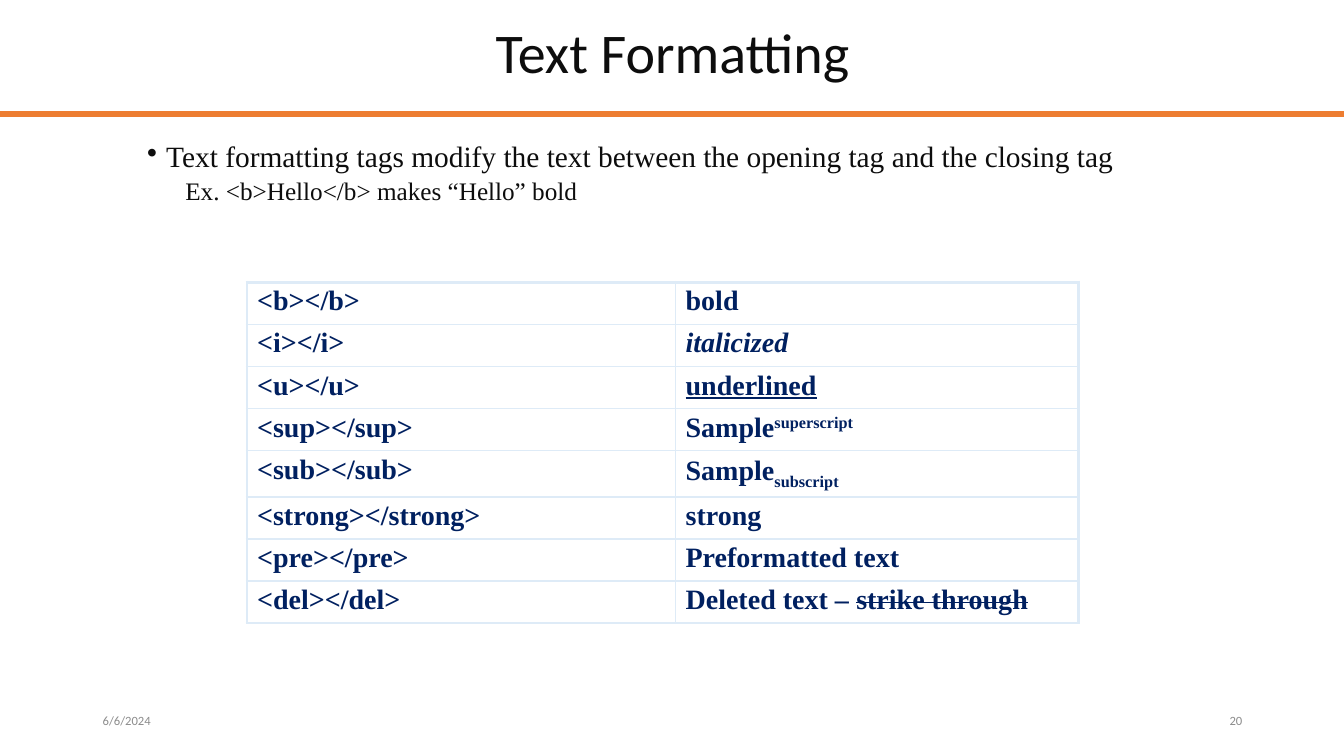
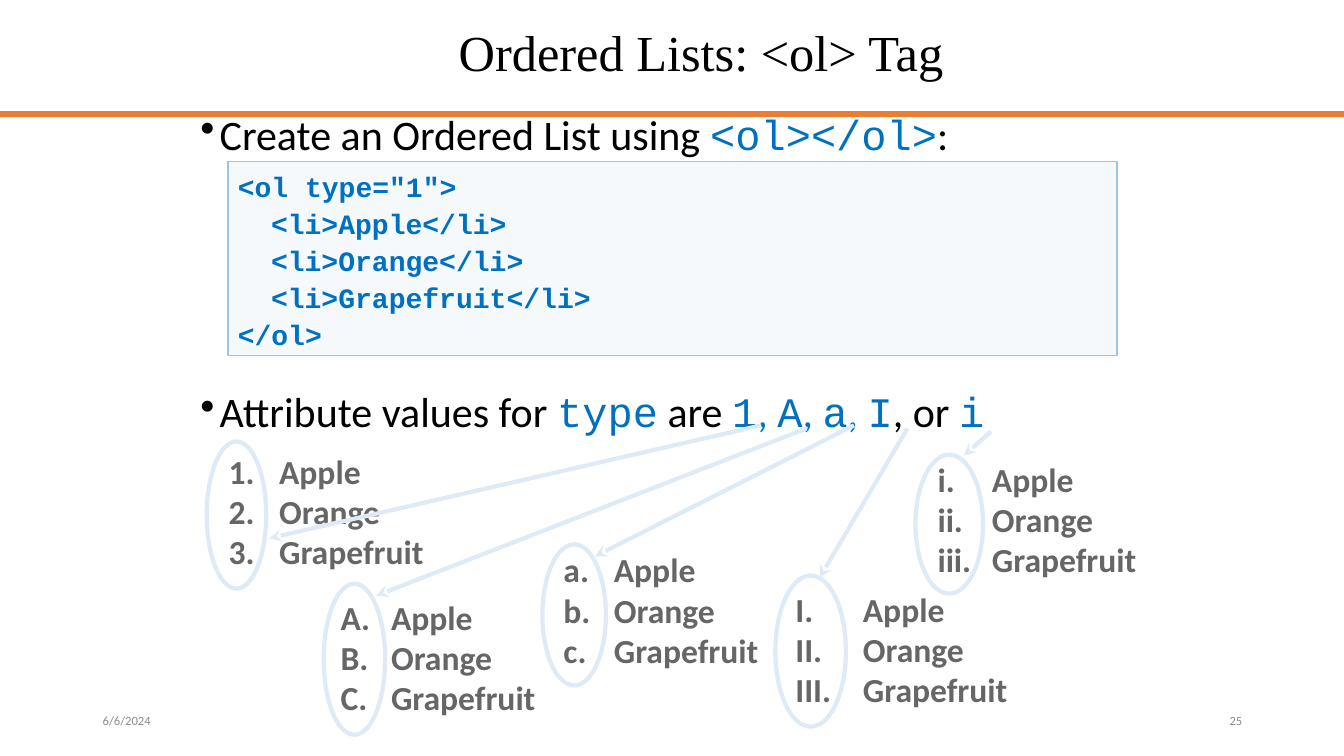
"""Build two slides on HTML text formatting and ordered lists."""
import dataclasses

import lxml.etree
import pptx
import pptx.dml.color
import pptx.enum.shapes
import pptx.enum.text
import pptx.oxml.ns
import pptx.util

Inches = pptx.util.Inches
Pt = pptx.util.Pt
qn = pptx.oxml.ns.qn
rgb = pptx.dml.color.RGBColor.from_string
ALIGN = pptx.enum.text.PP_ALIGN
ANCHOR = pptx.enum.text.MSO_ANCHOR
SHAPE = pptx.enum.shapes.MSO_SHAPE


@dataclasses.dataclass(frozen=True)
class Theme:
    sans: str = "Calibri"
    serif: str = "Times New Roman"
    mono: str = "Courier New"
    black: object = rgb("000000")
    ink: object = rgb("0D0D0D")
    gray: object = rgb("666666")
    footer: object = rgb("8C8C8C")
    navy: object = rgb("002060")
    blue: object = rgb("0070C0")
    orange: object = rgb("ED7D31")
    pale: object = rgb("DEEBF7")
    code_fill: object = rgb("BDD7EE")
    code_line: object = rgb("9DC3E6")
    title_size: int = 40
    tag_title_size: int = 36
    bullet_size: int = 30
    list_size: int = 24
    text_size: int = 21
    table_size: int = 20
    example_size: int = 18
    footer_size: int = 9


theme = Theme()


def format_paragraph(paragraph, font, size, color, bold=False, spacing=1.0, indent=0, bullet=None):
    paragraph.line_spacing = spacing
    for run in paragraph.runs:
        run.font.name = font
        run.font.size = Pt(size)
        run.font.bold = bold
        run.font.color.rgb = color
    properties = paragraph._p.get_or_add_pPr()
    properties.set("marL", str(Inches(indent)))
    properties.set("indent", str(-Inches(indent) if bullet else 0))
    if bullet == "•":
        lxml.etree.SubElement(properties, qn("a:buChar"), char=bullet)
    elif bullet:
        lxml.etree.SubElement(properties, qn("a:buAutoNum"), type=bullet)


def add_line(slide, start, end, color, width):
    line = slide.shapes.add_connector(
        pptx.enum.shapes.MSO_CONNECTOR.STRAIGHT, *map(Inches, start + end))
    line.line.color.rgb = color
    line.line.width = Pt(width)
    lxml.etree.SubElement(line.element.spPr, qn("a:effectLst"))
    return line


presentation = pptx.Presentation()
presentation.slide_width = Inches(13.33)
presentation.slide_height = Inches(7.5)
layout = presentation.slide_layouts.get_by_name("Title Only")
formatting_slide = presentation.slides.add_slide(layout)
lists_slide = presentation.slides.add_slide(layout)

band = add_line(formatting_slide, (0, 1.13), (13.33, 1.13), theme.orange, 4.5)
band.element.find(".//" + qn("p:cNvPr")).set("id", "20")
layout.shapes.element.append(band.element)

titles = [
    (formatting_slide, "Text Formatting", (1.89, 0.07, 9.56, 0.99),
     theme.sans, theme.title_size, theme.ink, Pt(40)),
    (lists_slide, "Ordered Lists: <ol> Tag", (1.79, 0.05, 10.33, 1),
     theme.serif, theme.tag_title_size, theme.black, 0.9),
]
for slide, text, box, font, size, color, spacing in titles:
    title = slide.shapes.title
    title.left, title.top, title.width, title.height = map(Inches, box)
    title.text_frame.text = text
    title.text_frame.auto_size = pptx.enum.text.MSO_AUTO_SIZE.NONE
    title.text_frame.vertical_anchor = ANCHOR.MIDDLE
    paragraph = title.text_frame.paragraphs[0]
    paragraph.alignment = ALIGN.CENTER
    format_paragraph(paragraph, font, size, color, spacing=spacing)

introduction = formatting_slide.shapes.add_textbox(
    Inches(1.36), Inches(1.36), Inches(10.65), Inches(1))
introduction.text_frame.word_wrap = True
introduction.text_frame.text = (
    "Text formatting tags modify the text between the opening tag and the closing tag\n"
    "Ex. <b>Hello</b> makes “Hello” bold")
statement, example = introduction.text_frame.paragraphs
format_paragraph(statement, theme.serif, theme.text_size, theme.ink,
                 spacing=0.9, indent=0.19, bullet="•")
format_paragraph(example, theme.serif, theme.example_size, theme.ink, spacing=0.9, indent=0.38)
example.level = 1
example.space_before = Pt(3.8)

tag_rows = [
    ("<b></b>", "bold", "", {}),
    ("<i></i>", "", "italicized", {"i": "1"}),
    ("<u></u>", "", "underlined", {"u": "sng"}),
    ("<sup></sup>", "Sample", "superscript", {"baseline": "30000"}),
    ("<sub></sub>", "Sample", "subscript", {"baseline": "-25000"}),
    ("<strong></strong>", "strong", "", {}),
    ("<pre></pre>", "Preformatted text", "", {}),
    ("<del></del>", "Deleted text – ", "strike through", {"strike": "sngStrike"}),
]
table = formatting_slide.shapes.add_table(
    len(tag_rows), 2, Inches(2.45), Inches(2.8), Inches(8.25), Inches(3.12)).table
table.first_row = False
table.horz_banding = False
table.columns[0].width = Inches(4.25)
table.columns[1].width = Inches(4)
last_row = len(tag_rows) - 1
for row, (tag, plain, styled, attributes) in enumerate(tag_rows):
    table.rows[row].height = Inches(0.39)
    table.cell(row, 0).text_frame.text = tag
    sample = table.cell(row, 1).text_frame.paragraphs[0]
    if plain:
        sample.text = plain
    if styled:
        run = sample.add_run()
        run.text = styled
        for name, value in attributes.items():
            run._r.get_or_add_rPr().set(name, value)
    for column in range(2):
        cell = table.cell(row, column)
        format_paragraph(cell.text_frame.paragraphs[0], theme.serif, theme.table_size,
                         theme.navy, bold=True, spacing=0.95)
        properties = cell._tc.get_or_add_tcPr()
        outer_edges = {"lnL": column == 0, "lnR": column == 1,
                       "lnT": row == 0, "lnB": row == last_row}
        for edge, outer in outer_edges.items():
            border = lxml.etree.SubElement(
                properties, qn("a:" + edge), w=str(Pt(2.25 if outer else 1)))
            fill = lxml.etree.SubElement(border, qn("a:solidFill"))
            lxml.etree.SubElement(fill, qn("a:srgbClr"), val=str(theme.pale))
        cell.fill.background()

bullet_lines = [
    [("Create an Ordered List using ", theme.sans, theme.black),
     ("<ol></ol>", theme.mono, theme.blue),
     (":", theme.sans, theme.black)],
    [("Attribute values for ", theme.sans, theme.black),
     ("type", theme.mono, theme.blue),
     (" are ", theme.sans, theme.black),
     ("1", theme.mono, theme.blue),
     (", ", theme.sans, theme.blue),
     ("A", theme.mono, theme.blue),
     (", ", theme.sans, theme.blue),
     ("a", theme.mono, theme.blue),
     (", ", theme.sans, theme.blue),
     ("I", theme.mono, theme.blue),
     (", or ", theme.sans, theme.black),
     ("i", theme.mono, theme.blue)],
]
bullets = lists_slide.shapes.add_textbox(Inches(1.89), Inches(1.08), Inches(10.13), Inches(3.4))
bullets.text_frame.word_wrap = True
bullets.text_frame.text = "\n".join("" for line in bullet_lines)
for paragraph, pieces in zip(bullets.text_frame.paragraphs, bullet_lines):
    for text, font, color in pieces:
        paragraph.add_run().text = text
    format_paragraph(paragraph, theme.sans, theme.bullet_size, theme.black,
                     spacing=0.9, indent=0.19, bullet="•")
    for run, (text, font, color) in zip(paragraph.runs, pieces):
        run.font.name = font
        run.font.color.rgb = color
bullets.text_frame.paragraphs[1].space_before = Pt(166)

ordered_lists = [
    ("arabicPeriod", 0.5, (2.17, 4.42, 2.21), (2.05, 4.38, 0.59, 1.46), (7.55, 4.22), (2.67, 5.34)),
    ("alphaUcPeriod", 0.5, (3.28, 5.87, 2.21), (3.21, 5.79, 0.61, 1.5), (8, 4.25), (3.73, 5.91)),
    ("alphaLcPeriod", 0.5, (5.49, 5.4, 2.21), (5.38, 5.4, 0.63, 1.4), (8.47, 4.22), (5.9, 5.52)),
    ("romanUcPeriod", 0.67, (7.79, 5.79, 2.37), (7.69, 5.71, 0.7, 1.5), (9, 4.25), (8.13, 5.73)),
    ("romanLcPeriod", 0.54, (9.2, 4.5, 2.25), (9.08, 4.51, 0.67, 1.38), (9.83, 4.28), (9.56, 4.52)),
]
for numbering, indent, list_box, oval_box, start, end in ordered_lists:
    fruits = lists_slide.shapes.add_textbox(*map(Inches, list_box), Inches(1.31))
    fruits.text_frame.word_wrap = True
    fruits.text_frame.text = "Apple\nOrange\nGrapefruit"
    for paragraph in fruits.text_frame.paragraphs:
        format_paragraph(paragraph, theme.sans, theme.list_size, theme.gray, bold=True,
                         indent=indent, bullet=numbering)
    arrow = add_line(lists_slide, start, end, theme.pale, 3)
    lxml.etree.SubElement(arrow.element.find(".//" + qn("a:ln")), qn("a:tailEnd"), type="stealth")
    oval = lists_slide.shapes.add_shape(SHAPE.OVAL, *map(Inches, oval_box))
    oval.shadow.inherit = False
    oval.fill.background()
    oval.line.color.rgb = theme.pale
    oval.line.width = Pt(3)

code_box = lists_slide.shapes.add_shape(
    SHAPE.RECTANGLE, Inches(2.26), Inches(1.6), Inches(8.82), Inches(1.93))
code_box.shadow.inherit = False
code_box.fill.solid()
code_box.fill.fore_color.rgb = theme.code_fill
fill_color = code_box.element.find(".//" + qn("a:solidFill") + "/" + qn("a:srgbClr"))
lxml.etree.SubElement(fill_color, qn("a:alpha"), val="15000")
code_box.line.color.rgb = theme.code_line
code_box.line.width = Pt(1)
code_box.text_frame.word_wrap = True
code_box.text_frame.vertical_anchor = ANCHOR.TOP
code_box.text_frame.text = (
    '<ol type="1">\n<li>Apple</li>\n<li>Orange</li>\n<li>Grapefruit</li>\n</ol>')
for paragraph in code_box.text_frame.paragraphs:
    paragraph.alignment = ALIGN.LEFT
    format_paragraph(paragraph, theme.mono, theme.table_size, theme.blue, bold=True, spacing=1.1,
                     indent=0.33 if paragraph.text.startswith("<li>") else 0)

for slide, number in [(formatting_slide, "20"), (lists_slide, "25")]:
    for left, text, alignment in [(0.92, "6/6/2024", ALIGN.LEFT), (9.42, number, ALIGN.RIGHT)]:
        footer = slide.shapes.add_textbox(Inches(left), Inches(6.95), Inches(3), Inches(0.4))
        footer.text_frame.word_wrap = True
        footer.text_frame.vertical_anchor = ANCHOR.MIDDLE
        footer.text_frame.text = text
        paragraph = footer.text_frame.paragraphs[0]
        paragraph.alignment = alignment
        format_paragraph(paragraph, theme.sans, theme.footer_size, theme.footer)

presentation.save("out.pptx")
